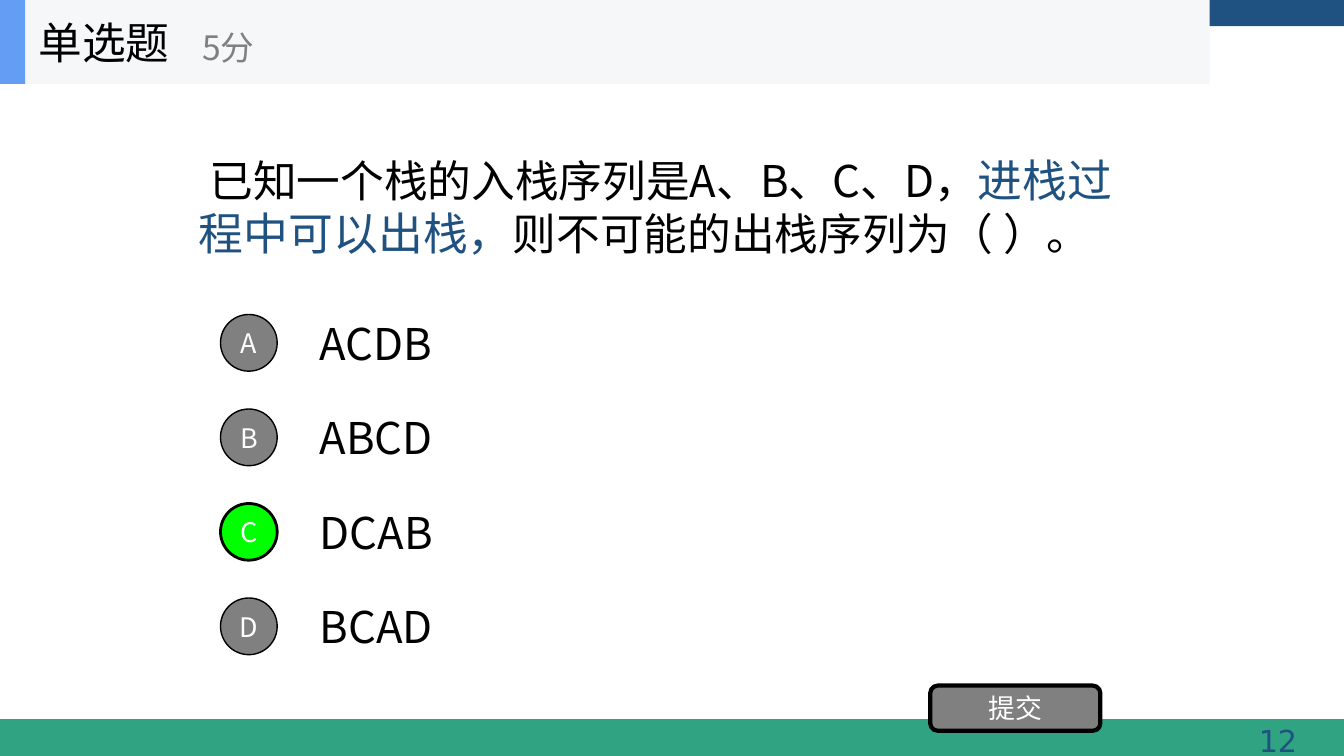
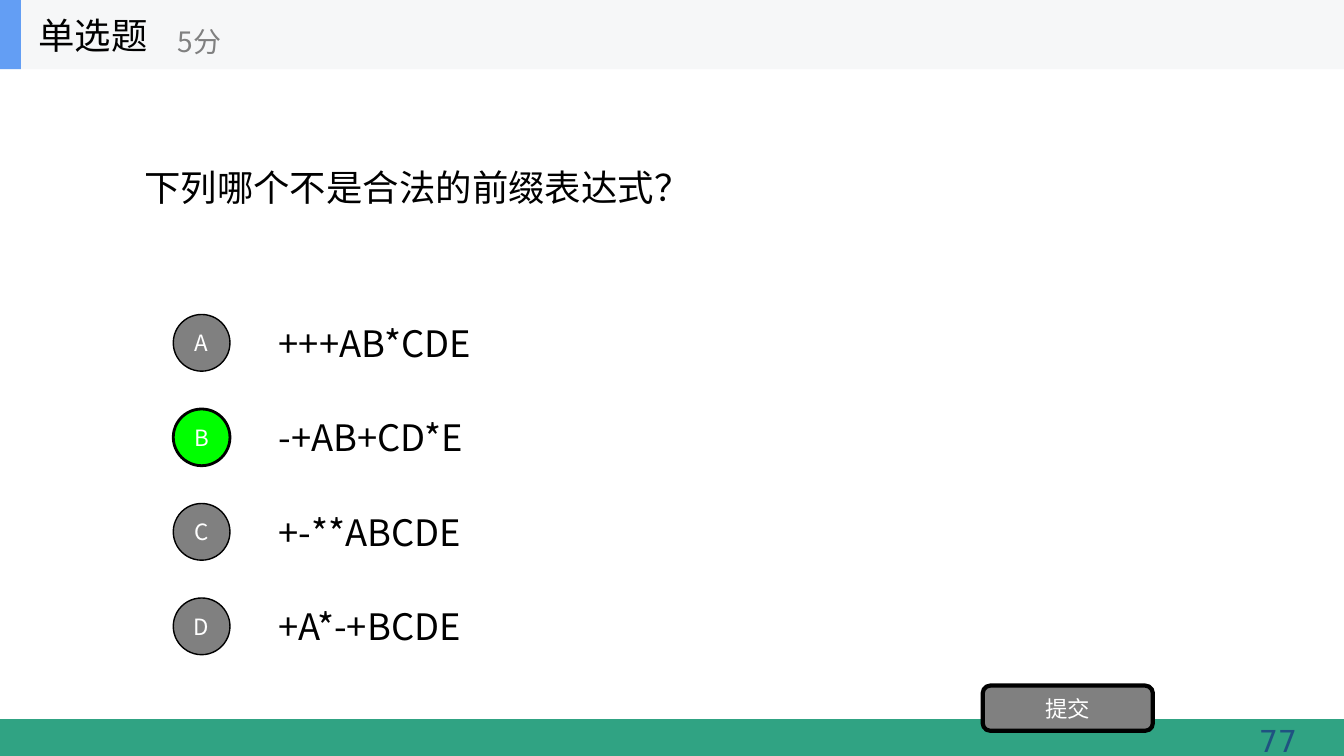
from pptx import Presentation
from pptx import util as u
from pptx.dml.color import RGBColor
from pptx.enum import shapes, text
from pptx.oxml.ns import qn

PX = 9525
WIDTH, HEIGHT = 1280, 720
COLORS = {
    "ink": "000000", "white": "FFFFFF", "gray": "808080", "right": "00FF00",
    "navy": "1F5281", "green": "30A383", "header": "F6F7F8", "accent": "639EF4",
}
CJK, LATIN = "Noto Sans CJK SC", "DejaVu Sans"
TITLE, POINTS, SUBMIT, LETTERS = "单选题", "5分", "提交", "ABCD"
OPTION_TOP, OPTION_STEP, OPTION_HEIGHT = 293, 90, 67
BUBBLE = 54
BUTTON_TOP, BUTTON_WIDTH, BUTTON_HEIGHT, BUTTON_INSET = 653, 162, 43, 54

QUIZZES = [
    {
        "number": "12",
        "question": [
            ("已知一个栈的入栈序列是A、B、C、D，", 31.2, "ink", CJK),
            ("进栈过程中可以出栈，", 32, "navy", LATIN),
            ("则不可能的出栈序列为（ ）。", 31.2, "ink", CJK),
        ],
        "question_box": (180, 84, 922, 225),
        "indent": 10, "line_height": 38,
        "options": ["ACDB", "ABCD", "DCAB", "BCAD"], "answer": "C",
        "bubble_left": 210, "option_left": 295,
        "header": (1152, 80), "accent": 24, "points_left": 183,
        "scale": 1.2,
    },
    {
        "number": "77",
        "question": [("下列哪个不是合法的前缀表达式？", 26, "ink", CJK)],
        "question_box": (128, 66, 1024, 225),
        "indent": 0, "line_height": None,
        "options": ["+++AB*CDE", "-+AB+CD*E", "+-**ABCDE", "+A*-+BCDE"], "answer": "B",
        "bubble_left": 165, "option_left": 256,
        "header": (1280, 66), "accent": 20, "points_left": 160,
        "scale": 1,
    },
]


def emu(*lengths):
    return [round(length * PX) for length in lengths]


def color(name):
    return RGBColor.from_string(COLORS[name])


def write(shape, runs, align=text.PP_ALIGN.LEFT, anchor=text.MSO_ANCHOR.MIDDLE):
    frame = shape.text_frame
    frame.word_wrap = True
    frame.auto_size = text.MSO_AUTO_SIZE.NONE
    frame.vertical_anchor = anchor
    para = frame.paragraphs[0]
    para.alignment = align
    for words, size, shade, face in runs:
        span = para.add_run()
        span.text = words
        span.font.size = u.Pt(size)
        span.font.name = face
        span.font.color.rgb = color(shade)
        properties = span.font._element
        east = properties.makeelement(qn("a:ea"), {"typeface": face})
        properties.find(qn("a:latin")).addnext(east)
    return para


def add_text(page, at, runs, **style):
    return write(page.shapes.add_textbox(*emu(*at)), runs, **style)


def add_block(page, at, fill, kind=shapes.MSO_SHAPE.RECTANGLE, line=0):
    block = page.shapes.add_shape(kind, *emu(*at))
    block.shadow.inherit = False
    block.fill.solid()
    block.fill.fore_color.rgb = color(fill)
    if line:
        block.line.color.rgb = color("ink")
        block.line.width = u.Pt(line)
    else:
        block.line.fill.background()
    return block


def add_label(block, words, size):
    frame = block.text_frame
    frame.margin_left = frame.margin_right = frame.margin_top = frame.margin_bottom = 0
    write(block, [(words, size, "white", CJK)], align=text.PP_ALIGN.CENTER)


def add_frame(page, number):
    add_block(page, (0, 685, WIDTH, 35), "green")
    add_block(page, (0, 0, WIDTH, 25), "navy")
    add_text(page, (963, 683, 282, 44), [(number, 21.6, "navy", LATIN)],
             align=text.PP_ALIGN.RIGHT, anchor=text.MSO_ANCHOR.TOP)


def add_header(page, quiz):
    width, height = quiz["header"]
    scale = quiz["scale"]
    add_block(page, (0, 0, width, height), "header")
    add_block(page, (0, 0, quiz["accent"], height), "accent")
    title = page.shapes.title
    title.left, title.top, title.width, title.height = emu(27, 0, 200 * scale, height)
    title.element.getparent().append(title.element)
    write(title, [(TITLE, 26 * scale, "ink", CJK)])
    add_text(page, (quiz["points_left"], 12, 240 * scale, 54 * scale),
             [(POINTS, 20 * scale, "gray", CJK)])


def add_question(page, quiz):
    para = add_text(page, quiz["question_box"], quiz["question"])
    if quiz["line_height"]:
        para.line_spacing = u.Pt(quiz["line_height"])
    if quiz["indent"]:
        para._p.get_or_add_pPr().set("indent", str(quiz["indent"] * PX))


def add_options(page, quiz):
    left, _, width, _ = quiz["question_box"]
    right = left + width
    scale = quiz["scale"]
    for row, (letter, option) in enumerate(zip(LETTERS, quiz["options"])):
        top = OPTION_TOP + row * OPTION_STEP
        add_text(page, (quiz["option_left"], top, right - quiz["option_left"], OPTION_HEIGHT),
                 [(option, 26 * scale, "ink", CJK)])
        fill, line = ("right", 2) if letter == quiz["answer"] else ("gray", 1)
        bubble_top = top + (OPTION_HEIGHT - BUBBLE) / 2
        bubble = add_block(page, (quiz["bubble_left"], bubble_top, BUBBLE, BUBBLE),
                           fill, shapes.MSO_SHAPE.OVAL, line)
        add_label(bubble, letter, 16 * scale)
    button = add_block(page, (right - BUTTON_INSET - BUTTON_WIDTH, BUTTON_TOP,
                              BUTTON_WIDTH, BUTTON_HEIGHT),
                       "gray", shapes.MSO_SHAPE.ROUNDED_RECTANGLE, 3)
    add_label(button, SUBMIT, 16 * scale)


def main():
    deck = Presentation()
    deck.slide_width, deck.slide_height = emu(WIDTH, HEIGHT)
    for quiz in QUIZZES:
        page = deck.slides.add_slide(deck.slide_layouts[5])
        add_frame(page, quiz["number"])
        add_question(page, quiz)
        add_options(page, quiz)
        add_header(page, quiz)
    deck.save("out.pptx")


if __name__ == "__main__":
    main()
